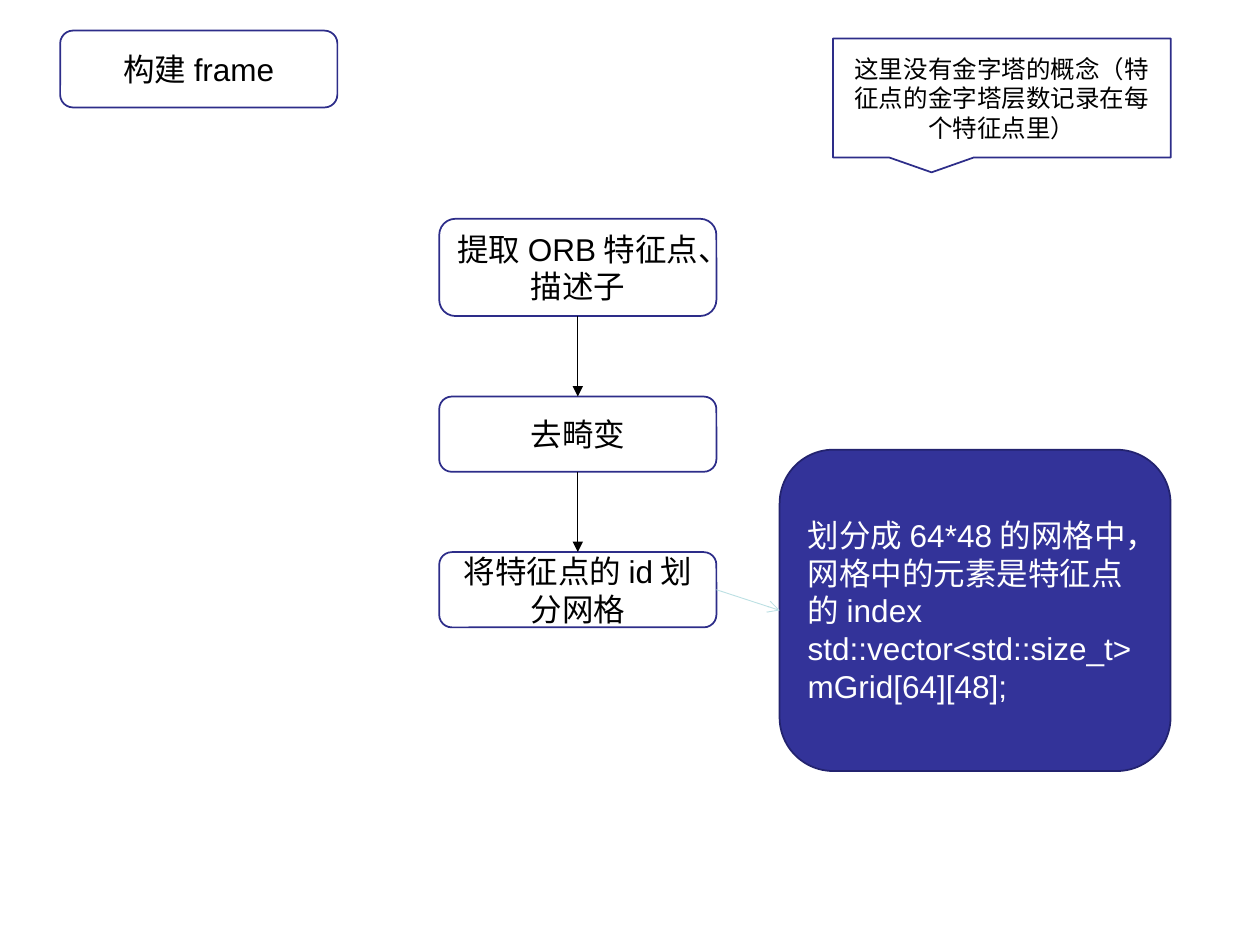
from lxml import etree
from pptx import Presentation
from pptx.dml.color import RGBColor
from pptx.enum.shapes import MSO_CONNECTOR, MSO_SHAPE
from pptx.enum.text import MSO_ANCHOR, PP_ALIGN
from pptx.oxml.ns import qn
from pptx.util import Pt

ROUNDED = MSO_SHAPE.ROUNDED_RECTANGLE
CALLOUT = MSO_SHAPE.RECTANGULAR_CALLOUT
STRAIGHT = MSO_CONNECTOR.STRAIGHT
MIDDLE = MSO_ANCHOR.MIDDLE
CENTER, LEFT = PP_ALIGN.CENTER, PP_ALIGN.LEFT
TOP_SIDE, LEFT_SIDE, BOTTOM_SIDE, RIGHT_SIDE = range(4)

BOX_WIDTH = 158.4
STEP_LEFT = 251
STEPS = [
    ("提取ORB特征点、描述子", 125, 55.6),
    ("去畸变", 226.6, 43),
    ("将特征点的id划分网格", 315.5, 43),
]
GRID_NOTE = [
    "划分成64*48的网格中，网格中的元素是特征点的index",
    "std::vector<std::size_t> mGrid[64][48];",
]


def rgb(value):
    """Return the colour for a hex string."""
    return RGBColor.from_string(value)


def add_box(slide, kind, box, lines, fill="FFFFFF", line="2D2D89",
            color="000000", size=18, align=CENTER, adjustments=(0.167,)):
    """Add a filled, outlined shape with one paragraph per line of text."""
    s = slide.shapes.add_shape(kind, *(Pt(v) for v in box))
    s.shadow.inherit = False
    for i, value in enumerate(adjustments):
        s.adjustments[i] = value
    s.fill.solid()
    s.fill.fore_color.rgb = rgb(fill)
    s.line.color.rgb = rgb(line)
    s.line.width = Pt(1)
    tf = s.text_frame
    frame_format = {
        "word_wrap": True, "vertical_anchor": MIDDLE,
        "margin_left": Pt(7.2), "margin_right": Pt(7.2),
        "margin_top": Pt(3.6), "margin_bottom": Pt(3.6),
    }
    for name, value in frame_format.items():
        setattr(tf, name, value)
    for i, text in enumerate(lines):
        p = tf.paragraphs[0] if i == 0 else tf.add_paragraph()
        p.alignment = align
        r = p.add_run()
        r.text = text
        for name, value in {"name": "Arial", "size": Pt(size)}.items():
            setattr(r.font, name, value)
        r.font.color.rgb = rgb(color)
    return s


def add_arrow(slide, start, start_side, end, end_side, color="000000",
              head="triangle"):
    """Join two shapes with a thin arrow."""
    c = slide.shapes.add_connector(STRAIGHT, 0, 0, 0, 0)
    c.begin_connect(start, start_side)
    c.end_connect(end, end_side)
    c.line.color.rgb = rgb(color)
    c.line.width = Pt(0.5)
    etree.SubElement(c.line._get_or_add_ln(), qn("a:tailEnd"), type=head)
    etree.SubElement(c._element.spPr, qn("a:effectLst"))


def main():
    """Build the slide and save it."""
    prs = Presentation()
    prs.slide_width, prs.slide_height = Pt(720), Pt(540)
    slide = prs.slides.add_slide(prs.slide_layouts[6])

    add_box(slide, ROUNDED, (34.4, 17.5, BOX_WIDTH, 43.9), ["构建frame"])
    steps = [add_box(slide, ROUNDED, (STEP_LEFT, top, BOX_WIDTH, height), [text])
             for text, top, height in STEPS]
    for upper, lower in zip(steps, steps[1:]):
        add_arrow(slide, upper, BOTTOM_SIDE, lower, TOP_SIDE)

    add_box(slide, CALLOUT, (476, 22, 193, 68),
            ["这里没有金字塔的概念（特征点的金字塔层数记录在每个特征点里）"],
            size=14, adjustments=(-0.208, 0.625))
    note = add_box(slide, ROUNDED, (445.5, 257, 223.4, 183.6), GRID_NOTE,
                   fill="333399", line="23236F", color="FFFFFF", align=LEFT)
    add_arrow(slide, steps[-1], RIGHT_SIDE, note, LEFT_SIDE, "BBE0E3", "arrow")

    prs.save("out.pptx")


if __name__ == "__main__":
    main()
